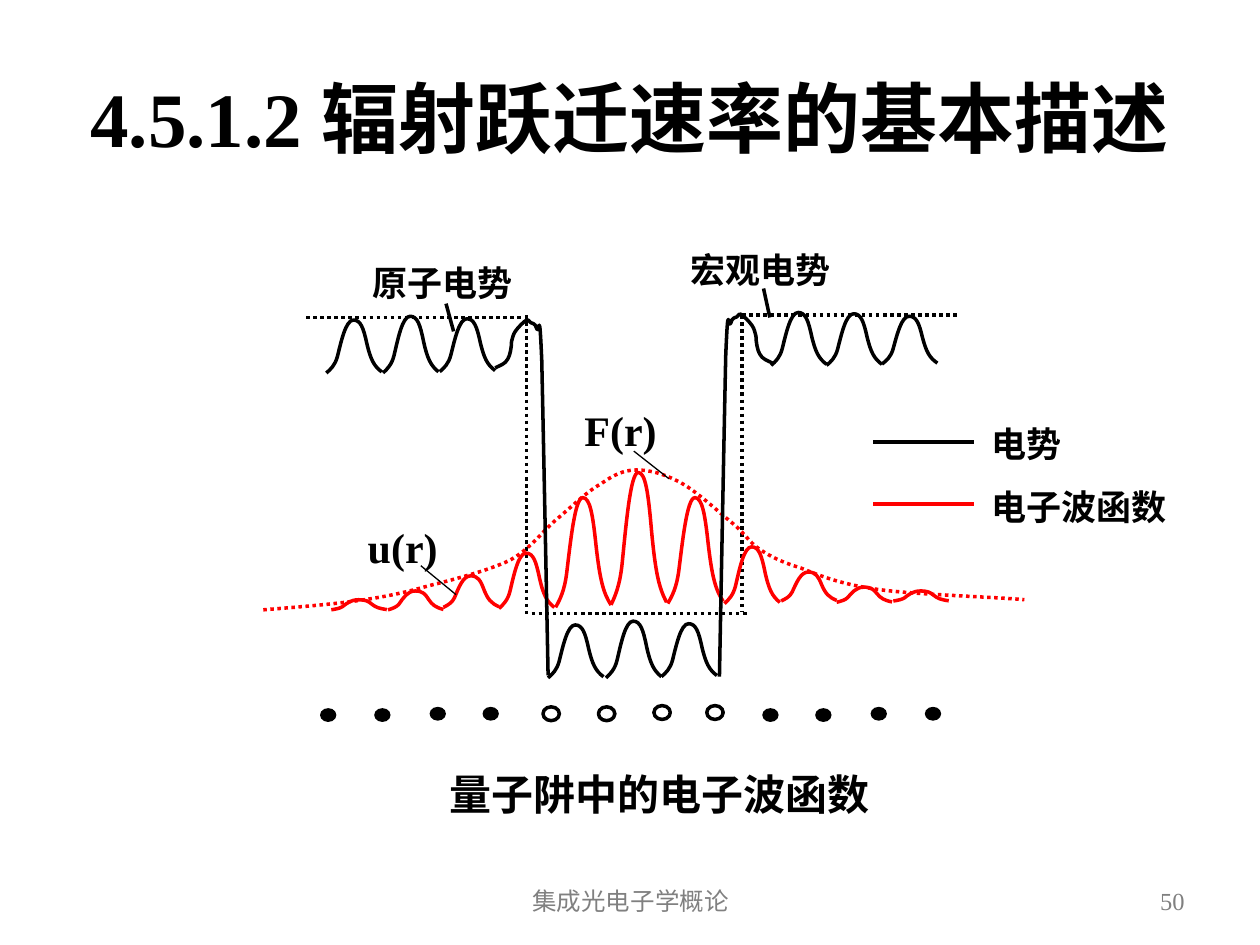
from pptx import Presentation
from pptx.dml.color import RGBColor
from pptx.enum.dml import MSO_LINE
from pptx.enum.shapes import MSO_CONNECTOR, MSO_SHAPE
from pptx.enum.text import MSO_ANCHOR as ANCHOR, PP_ALIGN as ALIGN
from pptx.oxml.ns import qn
from pptx.util import Inches, Pt
from lxml.etree import SubElement


class Theme:
    black = RGBColor(0, 0, 0)
    red = RGBColor(255, 0, 0)
    gray = RGBColor(128, 128, 128)
    latin, cjk = "Times New Roman", "Calibri"
    title, large, label, footer = 44, 24, 20, 14
    thick, thin = 2, 0.75


T = Theme

# Text: wording, box, size, font, colour, bold, alignment, anchor
HEADINGS = [
    ("4.5.1.2 辐射跃迁速率的基本描述", (0.5, 0.3, 9, 1.25),
     T.title, T.latin, T.black, True, ALIGN.CENTER, ANCHOR.MIDDLE),
    ("集成光电子学概论", (3.42, 6.95, 3.17, 0.4),
     T.footer, T.cjk, T.gray, False, ALIGN.CENTER, ANCHOR.MIDDLE),
    ("50", (7.17, 6.95, 2.33, 0.4),
     T.footer, T.latin, T.gray, False, ALIGN.RIGHT, ANCHOR.MIDDLE),
]
LABELS = [
    ("F(r)", (4.54, 3.16, 0.99, 0.42), T.large, T.latin),
    ("u(r)", (2.82, 4.09, 0.99, 0.58), T.large, T.latin),
    ("原子电势", (2.86, 2.03, 1.43, 0.42), T.label, T.cjk),
    ("宏观电势", (5.38, 1.92, 1.43, 0.42), T.label, T.cjk),
    ("量子阱中的电子波函数", (3.47, 6.05, 3.59, 0.49), T.large, T.cjk),
    ("电势", (7.77, 3.3, 1.43, 0.42), T.label, T.cjk),
    ("电子波函数", (7.77, 3.8, 1.72, 0.42), T.label, T.cjk),
]

# Straight lines: x1, y1, x2, y2
MACRO_POTENTIAL = [
    (2.43, 2.52, 4.15, 2.52), (4.18, 2.5, 4.18, 4.87), (4.22, 4.87, 5.94, 4.87),
    (5.89, 2.5, 5.89, 4.86), (5.89, 2.5, 7.6, 2.5),
]
LEADERS = [
    ((5.03, 3.58, 5.31, 3.8), T.thin), ((3.34, 4.49, 3.62, 4.72), T.thin),
    ((3.54, 2.41, 3.6, 2.63), T.thick), ((6.06, 2.29, 6.11, 2.52), T.thick),
]
LEGEND = [((6.93, 3.51, 7.73, 3.51), T.black), ((6.93, 4, 7.73, 4), T.red)]

# Bezier curves: a start point, then three points per segment
ENVELOPE = [
    (2.09, 4.84), (2.34, 4.82), (2.6, 4.8), (2.82, 4.77),
    (3.04, 4.74), (3.19, 4.71), (3.4, 4.65), (3.6, 4.6), (3.87, 4.53), (4.04, 4.45),
    (4.21, 4.36), (4.3, 4.22), (4.42, 4.12), (4.54, 4.02), (4.66, 3.9), (4.77, 3.84),
    (4.87, 3.77), (4.95, 3.73), (5.05, 3.73), (5.16, 3.73), (5.27, 3.76), (5.4, 3.83),
    (5.53, 3.9), (5.7, 4.06), (5.81, 4.15), (5.92, 4.24), (5.94, 4.3), (6.03, 4.36),
    (6.12, 4.42), (6.2, 4.46), (6.36, 4.51), (6.51, 4.57), (6.68, 4.64), (6.98, 4.68),
    (7.27, 4.72), (7.93, 4.74), (8.13, 4.76),
]
WELL_WALL = [
    (3.93, 2.92), (3.97, 2.9), (4.01, 2.89), (4.03, 2.85),
    (4.05, 2.82), (4.06, 2.75), (4.06, 2.71), (4.07, 2.68), (4.07, 2.66), (4.09, 2.63),
    (4.11, 2.6), (4.16, 2.55), (4.18, 2.54), (4.2, 2.53), (4.19, 2.55), (4.21, 2.56),
    (4.22, 2.57), (4.25, 2.56), (4.26, 2.61), (4.28, 2.66), (4.28, 2.4), (4.3, 2.86),
    (4.31, 3.32), (4.33, 4.34), (4.35, 5.36),
]
# One hump in a unit box, y down
HUMP = [
    (0, 1), (0.08, 0.93), (0.16, 0.85), (0.2, 0.69),
    (0.27, 0.4), (0.35, 0), (0.49, 0), (0.62, 0), (0.67, 0.15), (0.73, 0.44),
    (0.8, 0.75), (0.86, 0.87), (1, 0.98),
]
HUMP_W = 0.44
# Humps: left, top, height
WAVE_HUMPS = [
    (2.63, 4.76, 0.08), (3.08, 4.69, 0.15), (3.52, 4.57, 0.25), (3.96, 4.39, 0.44),
    (4.41, 3.95, 0.87), (4.85, 3.75, 1.05), (5.3, 3.95, 0.84), (5.75, 4.34, 0.45),
    (6.2, 4.54, 0.23), (6.64, 4.66, 0.12), (7.09, 4.69, 0.08),
]
ATOM_HUMPS = [
    (2.59, 2.54, 0.42), (3.04, 2.51, 0.45), (3.49, 2.53, 0.42),
    (4.35, 4.96, 0.42), (4.81, 4.93, 0.45), (5.25, 4.95, 0.42),
    (6.12, 2.48, 0.42), (6.56, 2.49, 0.41), (7, 2.51, 0.38),
]

# Atoms: left, top; the middle four are hollow
ATOMS = [
    (2.54, 5.62), (2.97, 5.62), (3.41, 5.61), (3.83, 5.61), (4.31, 5.61), (4.75, 5.61),
    (5.19, 5.6), (5.61, 5.6), (6.05, 5.62), (6.47, 5.62), (6.91, 5.61), (7.34, 5.61),
]
HOLLOW = range(4, 8)

prs = Presentation()
prs.slide_width, prs.slide_height = Inches(10), Inches(7.5)
shapes = prs.slides.add_slide(prs.slide_layouts[6]).shapes


def style_line(line, color, width=T.thick, dotted=False):
    line.color.rgb = color
    line.width = Pt(width)
    if dotted:
        line.dash_style = MSO_LINE.ROUND_DOT


def add_text(text, box, size, font, color=T.black, bold=True,
             align=ALIGN.JUSTIFY, anchor=ANCHOR.TOP):
    tf = shapes.add_textbox(*map(Inches, box)).text_frame
    tf.word_wrap = True
    tf.vertical_anchor = anchor
    p = tf.paragraphs[0]
    p.text, p.alignment = text, align
    p.font.name, p.font.size, p.font.bold = font, Pt(size), bold
    p.font.color.rgb = color


def add_line(ends, color=T.black, width=T.thick, dotted=False):
    c = shapes.add_connector(MSO_CONNECTOR.STRAIGHT, *map(Inches, ends))
    style_line(c.line, color, width, dotted)
    SubElement(c._element.spPr, qn("a:effectLst"))


def add_curve(points, color, dotted=False):
    pts = [(Inches(x), Inches(y)) for x, y in points]
    builder = shapes.build_freeform(*pts[0])
    builder.add_line_segments(pts[1:], close=False)
    sp = builder.convert_to_shape()
    # Gather each three points into one cubic segment
    segments = list(sp._element.iter(qn("a:lnTo")))
    outline = segments[0].getparent()
    for i, segment in enumerate(segments):
        if i % 3 == 0:
            cubic = SubElement(outline, qn("a:cubicBezTo"))
        cubic.append(segment[0])
        outline.remove(segment)
    sp.shadow.inherit = False
    sp.fill.background()
    style_line(sp.line, color, dotted=dotted)


def add_humps(humps, color):
    for left, top, height in humps:
        add_curve([(left + HUMP_W * x, top + height * y) for x, y in HUMP], color)


# Title, footer and page number
for heading in HEADINGS:
    add_text(*heading)

# Macroscopic potential
for ends in MACRO_POTENTIAL:
    add_line(ends, dotted=True)

# Wave function under its envelope
add_curve(ENVELOPE, T.red, dotted=True)
add_humps(WAVE_HUMPS, T.red)

# Atomic potential; the right wall mirrors the left, slightly taller
add_humps(ATOM_HUMPS, T.black)
add_curve(WELL_WALL, T.black)
add_curve([(10.06 - x, 5.37 - (5.36 - y) * 1.02) for x, y in WELL_WALL], T.black)

# Row of atoms
for i, (left, top) in enumerate(ATOMS):
    sp = shapes.add_shape(MSO_SHAPE.OVAL, *map(Inches, (left, top, 0.13, 0.11)))
    sp.shadow.inherit = False
    if i in HOLLOW:
        sp.fill.background()
        style_line(sp.line, T.black)
    else:
        sp.fill.solid()
        sp.fill.fore_color.rgb = T.black
        sp.line.fill.background()

# Labels, leaders and legend
for label in LABELS:
    add_text(*label)
for ends, width in LEADERS:
    add_line(ends, width=width)
for ends, color in LEGEND:
    add_line(ends, color)

prs.save("out.pptx")
